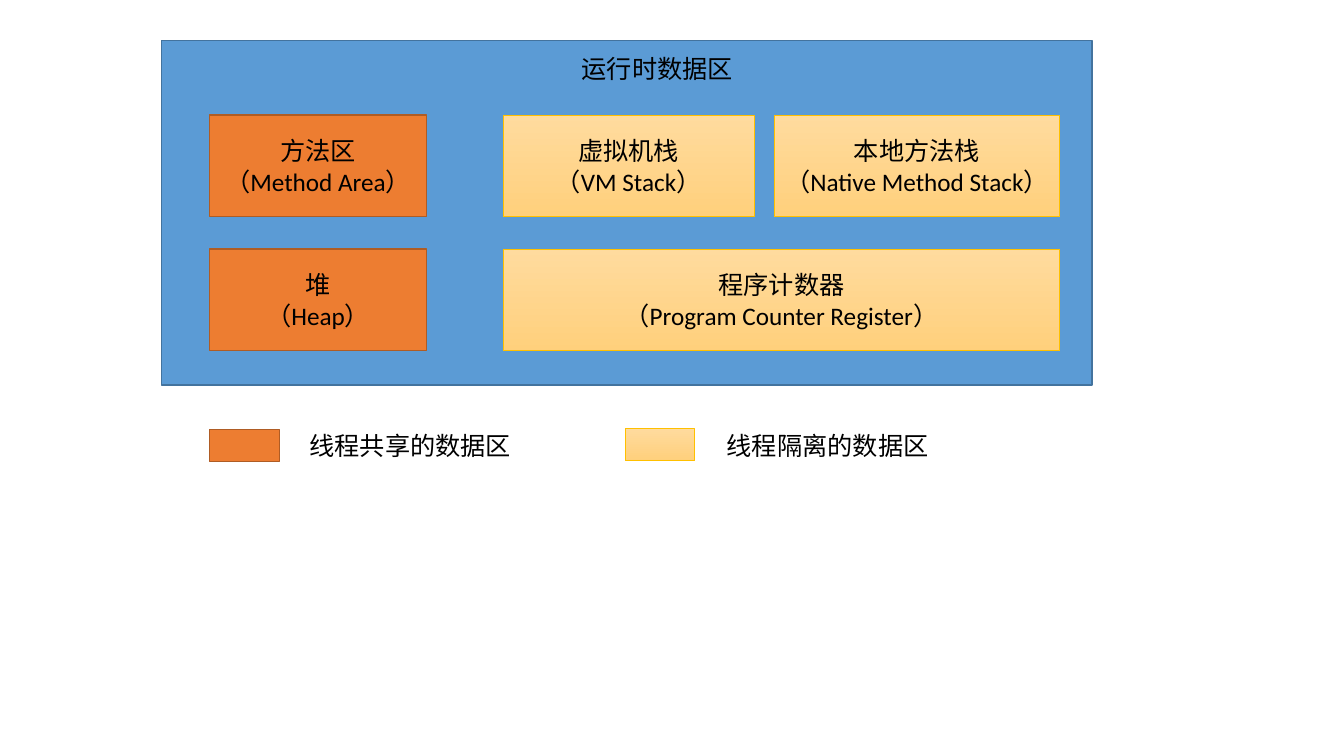
"""Builds a slide showing the runtime data areas and who shares them."""
from dataclasses import dataclass

from pptx import Presentation
from pptx.dml.color import RGBColor
from pptx.enum.shapes import MSO_SHAPE
from pptx.enum.text import MSO_ANCHOR, MSO_AUTO_SIZE, PP_ALIGN
from pptx.util import Pt

RECT = MSO_SHAPE.RECTANGLE
CENTER = PP_ALIGN.CENTER
MIDDLE = MSO_ANCHOR.MIDDLE
GROW = MSO_AUTO_SIZE.SHAPE_TO_FIT_TEXT
PX = 9144


@dataclass(frozen=True)
class Style:
    fill: tuple
    line: str
    width: float


@dataclass(frozen=True)
class Theme:
    panel: Style = Style(("5B9BD5",), "43739E", 1)
    shared: Style = Style(("ED7D31",), "AF5C24", 1)
    isolated: Style = Style(("FFDB9E", "FFD07C"), "FFC000", 0.5)
    text: str = "000000"
    font: str = "Calibri"
    size: int = 18


THEME = Theme()
SLIDE = (1333, 750)
PANEL = (160, 40, 923, 342)
TITLE = ("运行时数据区", 567, 48)
ROW_TOP, ROW_STEP, AREA_H = 114, 133, 101
AREAS = [
    ("方法区\n（Method Area）", THEME.shared, 0, 208, 215),
    ("堆\n（Heap）", THEME.shared, 1, 208, 215),
    ("虚拟机栈\n（VM Stack）", THEME.isolated, 0, 499, 249),
    ("本地方法栈\n（Native Method Stack）", THEME.isolated, 0, 768, 283),
    ("程序计数器\n（Program Counter Register）", THEME.isolated, 1, 499, 552),
]
LEGEND = [
    ("线程共享的数据区", THEME.shared, 208, 426, 297),
    ("线程隔离的数据区", THEME.isolated, 620, 425, 711),
]
LEGEND_TOP = 422
SWATCH = (69, 32)
LABEL = (289, 40)


def emu(*lengths):
    return [n * PX for n in lengths]


def write(tf, text):
    tf.word_wrap = True
    tf.text = text
    for p in tf.paragraphs:
        for r in p.runs:
            r.font.name = THEME.font
            r.font.size = Pt(THEME.size)
            r.font.color.rgb = RGBColor.from_string(THEME.text)


def add_box(s, style, *at):
    sp = s.shapes.add_shape(RECT, *emu(*at))
    sp.shadow.inherit = False
    if len(style.fill) == 1:
        sp.fill.solid()
        sp.fill.fore_color.rgb = RGBColor.from_string(style.fill[0])
    else:
        sp.fill.gradient()
        sp.fill.gradient_angle = 270
        for stop, color in zip(sp.fill.gradient_stops, style.fill):
            stop.color.rgb = RGBColor.from_string(color)
    sp.line.color.rgb = RGBColor.from_string(style.line)
    sp.line.width = Pt(style.width)
    return sp


def add_label(s, text, left, top):
    tf = s.shapes.add_textbox(*emu(left, top, *LABEL)).text_frame
    write(tf, text)
    tf.auto_size = GROW


def main():
    prs = Presentation()
    prs.slide_width, prs.slide_height = emu(*SLIDE)
    s = prs.slides.add_slide(prs.slide_layouts[6])
    add_box(s, THEME.panel, *PANEL)
    for text, style, row, left, width in AREAS:
        top = ROW_TOP + row * ROW_STEP
        tf = add_box(s, style, left, top, width, AREA_H).text_frame
        write(tf, text)
        tf.vertical_anchor = MIDDLE
        for p in tf.paragraphs:
            p.alignment = CENTER
    add_label(s, *TITLE)
    for text, style, left, top, label_left in LEGEND:
        add_box(s, style, left, top, *SWATCH)
        add_label(s, text, label_left, LEGEND_TOP)
    prs.save("out.pptx")


if __name__ == "__main__":
    main()
